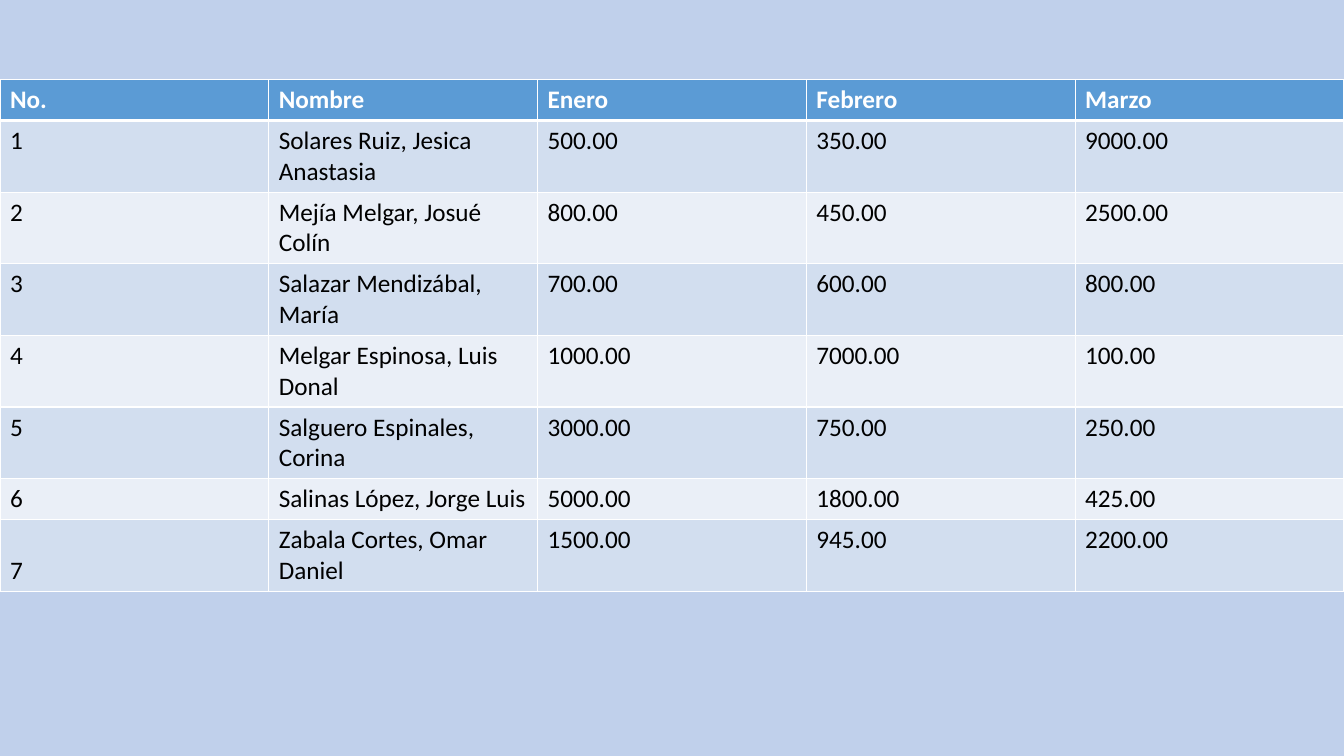
from lxml import etree
from pptx import Presentation
from pptx.dml.color import RGBColor
from pptx.enum import text
from pptx.oxml import ns
from pptx.util import Inches, Pt

WHITE, BLACK, HEAD = "FFFFFF", "000000", "5B9BD5"
BANDS = ["EAEFF7", "D2DEEF"]
BACK = "C0D0EB"
HEIGHTS = [0.4, 0.67, 0.4, 0.4, 0.4, 0.4, 0.4, 0.7]
ROWS = [
    ("No.", "Nombre", "Enero", "Febrero", "Marzo"),
    ("1", "Solares Ruiz, Jesica Anastasia", "500.00", "350.00", "9000.00"),
    ("2", "Mejía Melgar, Josué Colín", "800.00", "450.00", "2500.00"),
    ("3", "Salazar Mendizábal, María", "700.00", "600.00", "800.00"),
    ("4", "Melgar Espinosa, Luis Donal", "1000.00", "7000.00", "100.00"),
    ("5", "Salguero Espinales, Corina", "3000.00", "750.00", "250.00"),
    ("6", "Salinas López, Jorge Luis", "5000.00", "1800.00", "425.00"),
    ("7", "Zabala Cortes, Omar Daniel", "1500.00", "945.00", "2200.00"),
]


def paint(fill, color):
    fill.solid()
    fill.fore_color.rgb = RGBColor.from_string(color)


def edge(cell, side, width):
    """Draw a white border on one side (L, R, T or B) of a cell."""
    props = cell._tc.get_or_add_tcPr()
    line = etree.SubElement(props, ns.qn("a:ln" + side), w=str(Pt(width)))
    solid = etree.SubElement(line, ns.qn("a:solidFill"))
    etree.SubElement(solid, ns.qn("a:srgbClr"), val=WHITE)


def write(cell, words, row):
    head = row == 0
    widths = {"L": 1, "R": 1, "T": 3 if row == 1 else 1, "B": 3 if head else 1}
    for side, width in widths.items():
        edge(cell, side, width)
    paint(cell.fill, HEAD if head else BANDS[row % 2])
    cell.text = words
    font = cell.text_frame.paragraphs[0].runs[0].font
    for name, value in {"name": "Calibri", "size": Pt(18), "bold": head}.items():
        setattr(font, name, value)
    paint(font.fill, WHITE if head else BLACK)


def add_grid(slide, top, width):
    count = len(ROWS[0])
    frame = slide.shapes.add_table(
        len(ROWS), count, 0, top, width, Inches(sum(HEIGHTS)))
    table = frame.table
    for col in table.columns:
        col.width = width // count
    for row, values in enumerate(ROWS):
        table.rows[row].height = Inches(HEIGHTS[row])
        for col, words in enumerate(values):
            write(table.cell(row, col), words, row)
    return table


def main():
    deck = Presentation()
    deck.slide_width, deck.slide_height = Inches(13.33), Inches(7.5)
    slide = deck.slides.add_slide(deck.slide_layouts[6])
    paint(slide.background.fill, BACK)
    table = add_grid(slide, Inches(0.79), deck.slide_width)
    last = table.cell(len(ROWS) - 1, 0)
    last.vertical_anchor = text.MSO_ANCHOR.BOTTOM
    deck.save("out.pptx")


if __name__ == "__main__":
    main()
